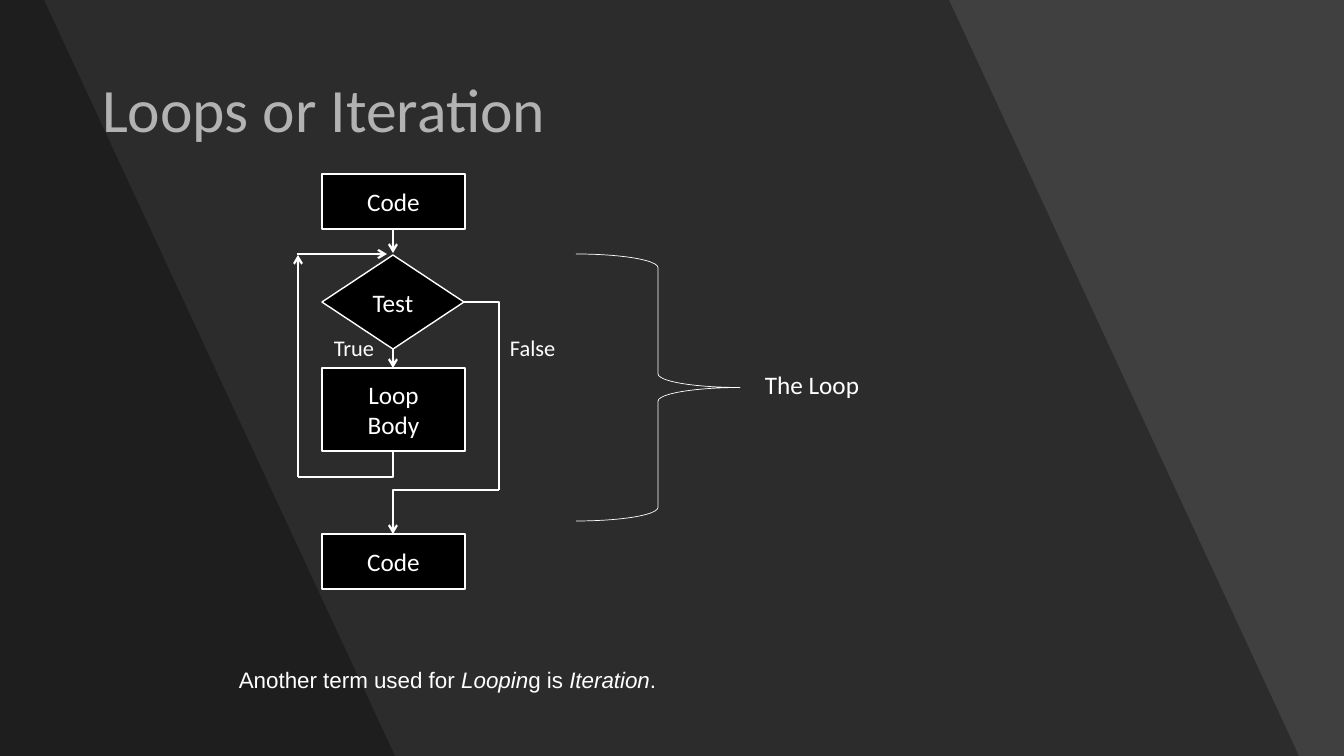
from lxml import etree
from pptx import Presentation
from pptx.dml.color import RGBColor
from pptx.enum.shapes import MSO_CONNECTOR as CONN, MSO_SHAPE as SHAPE
from pptx.enum.text import MSO_ANCHOR as ANCHOR, MSO_AUTO_SIZE as AUTO, PP_ALIGN as ALIGN
from pptx.oxml.ns import qn
from pptx.util import Pt

PX = 914400 / 100.8
WHITE = RGBColor(255, 255, 255)
BLACK = RGBColor(0, 0, 0)
GRAY = RGBColor(64, 64, 64)

TITLE = "Loops or Iteration"
BANDS = [(949, 1299), (44, 395)]
BOXES = [
    (["Code"], SHAPE.RECTANGLE, (322, 174, 143, 55)),
    (["Code"], SHAPE.RECTANGLE, (322, 534, 143, 55)),
    (["Test"], SHAPE.FLOWCHART_DECISION, (322, 255, 142, 94)),
    (["Loop", "Body"], SHAPE.FLOWCHART_PROCESS, (322, 368, 143, 83)),
]
STRAIGHT_ARROWS = [
    (393, 229, 393, 253),
    (393, 349, 393, 368),
    (297, 254, 387, 254),
    (298, 477, 298, 255),
]
ELBOWS = [
    ((464, 302, 499, 490), False),
    ((499, 490, 393, 534), True),
    ((298, 477, 393, 451), False),
]
LABELS = [
    ([("False", False)], (500, 329, 76, 37), 16, "Calibri"),
    ([("True", False)], (324, 329, 66, 37), 16, "Calibri"),
    ([("The Loop", False)], (755, 364, 128, 40), 18, "Calibri"),
    ([("Another term used for ", False), ("Loopin", True), ("g is ", False),
      ("Iteration", True), (".", False)], (229, 661, 444, 37), 16, "Arial"),
]


def emu(values):
    return [round(v * PX) for v in values]


def write(p, text, size=18, font="Calibri", italic=False, align=ALIGN.LEFT):
    p.alignment = align
    r = p.add_run()
    r.text = text
    r.font.size, r.font.name, r.font.italic = Pt(size), font, italic
    r.font.color.rgb = WHITE


def outline(shape, width):
    shape.line.color.rgb = WHITE
    shape.line.width = Pt(width)


def connect(ends, arrow=True, bent=False):
    c = s.shapes.add_connector(CONN.ELBOW if bent else CONN.STRAIGHT, *emu(ends))
    outline(c, 1.5)
    pr = c._element.spPr
    if bent:
        pr.find(qn("a:prstGeom")).set("prst", "bentConnector2")
    if arrow:
        etree.SubElement(pr.find(qn("a:ln")), qn("a:tailEnd"), type="arrow")
    etree.SubElement(pr, qn("a:effectLst"))


prs = Presentation()
prs.slide_width, prs.slide_height = emu((1344, 756))
s = prs.slides.add_slide(prs.slide_layouts[5])
s.background.fill.solid()
s.background.fill.fore_color.rgb = GRAY

for top, bottom in BANDS:
    builder = s.shapes.build_freeform(0, 0, scale=PX)
    builder.add_line_segments([(top, 0), (bottom, 756), (0, 756)], close=True)
    band = builder.convert_to_shape()
    band.shadow.inherit = False
    band.line.fill.background()
    band.fill.solid()
    band.fill.fore_color.rgb = BLACK
    color = band._element.spPr.find(qn("a:solidFill"))[0]
    etree.SubElement(color, qn("a:alpha"), val="30000")

title = s.shapes.title
title.left, title.top, title.width, title.height = emu((92, 40, 1160, 146))
title.text_frame.vertical_anchor = ANCHOR.MIDDLE
p = title.text_frame.paragraphs[0]
p.line_spacing = 0.9
write(p, TITLE, size=44)

for lines, kind, place in BOXES:
    box = s.shapes.add_shape(kind, *emu(place))
    box.shadow.inherit = False
    box.fill.solid()
    box.fill.fore_color.rgb = BLACK
    outline(box, 1)
    tf = box.text_frame
    tf.vertical_anchor = ANCHOR.MIDDLE
    for i, line in enumerate(lines):
        write(tf.add_paragraph() if i else tf.paragraphs[0], line, align=ALIGN.CENTER)

for ends in STRAIGHT_ARROWS:
    connect(ends)
for ends, arrow in ELBOWS:
    connect(ends, arrow, bent=True)

brace = s.shapes.add_shape(SHAPE.LEFT_BRACE, *emu((576, 254, 164, 267)))
brace.rotation = 180
brace.shadow.inherit = False
brace.fill.background()
outline(brace, 0.5)

for runs, place, size, font in LABELS:
    tf = s.shapes.add_textbox(*emu(place)).text_frame
    tf.word_wrap = False
    tf.auto_size = AUTO.SHAPE_TO_FIT_TEXT
    for text, italic in runs:
        write(tf.paragraphs[0], text, size, font, italic)

prs.save("out.pptx")
